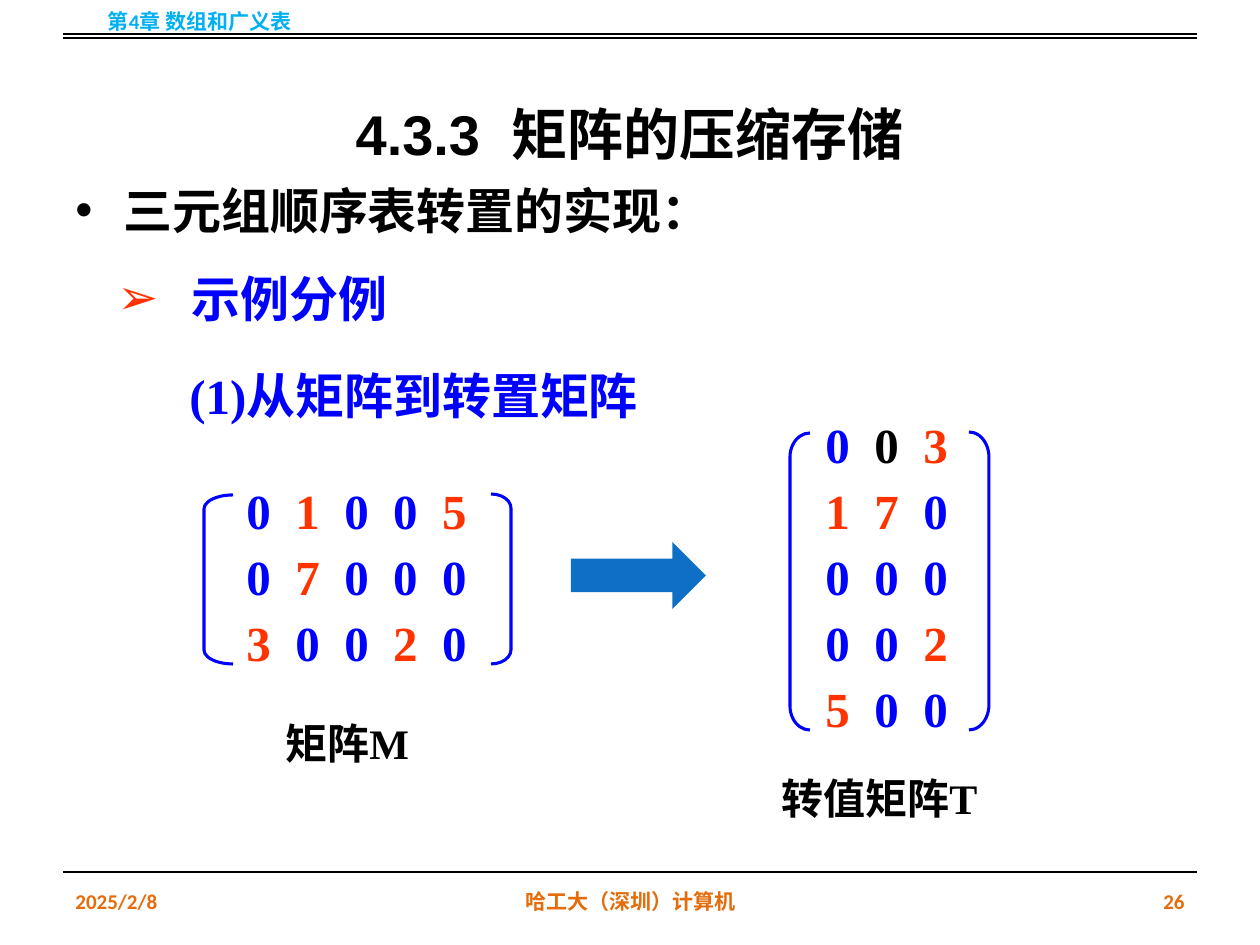
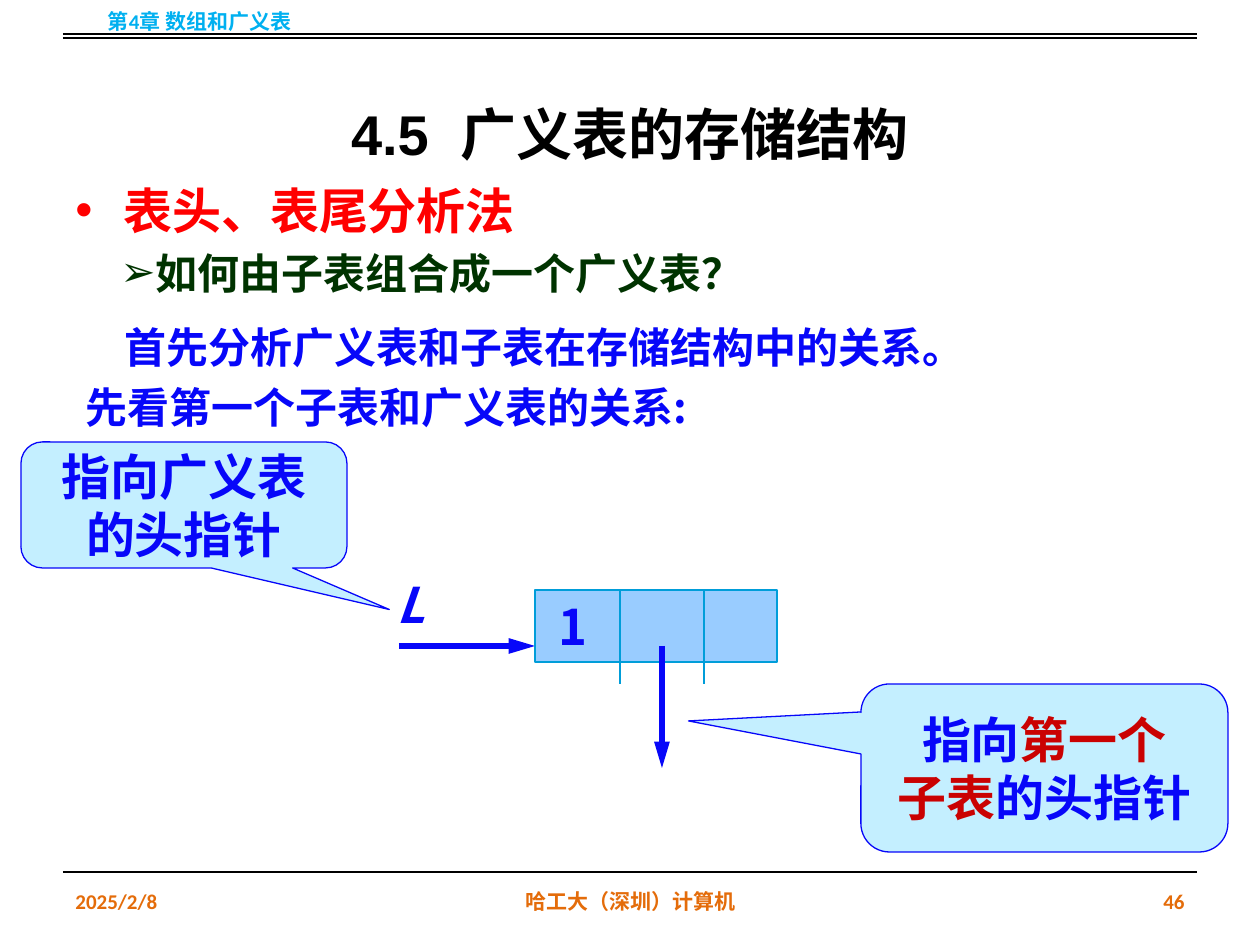
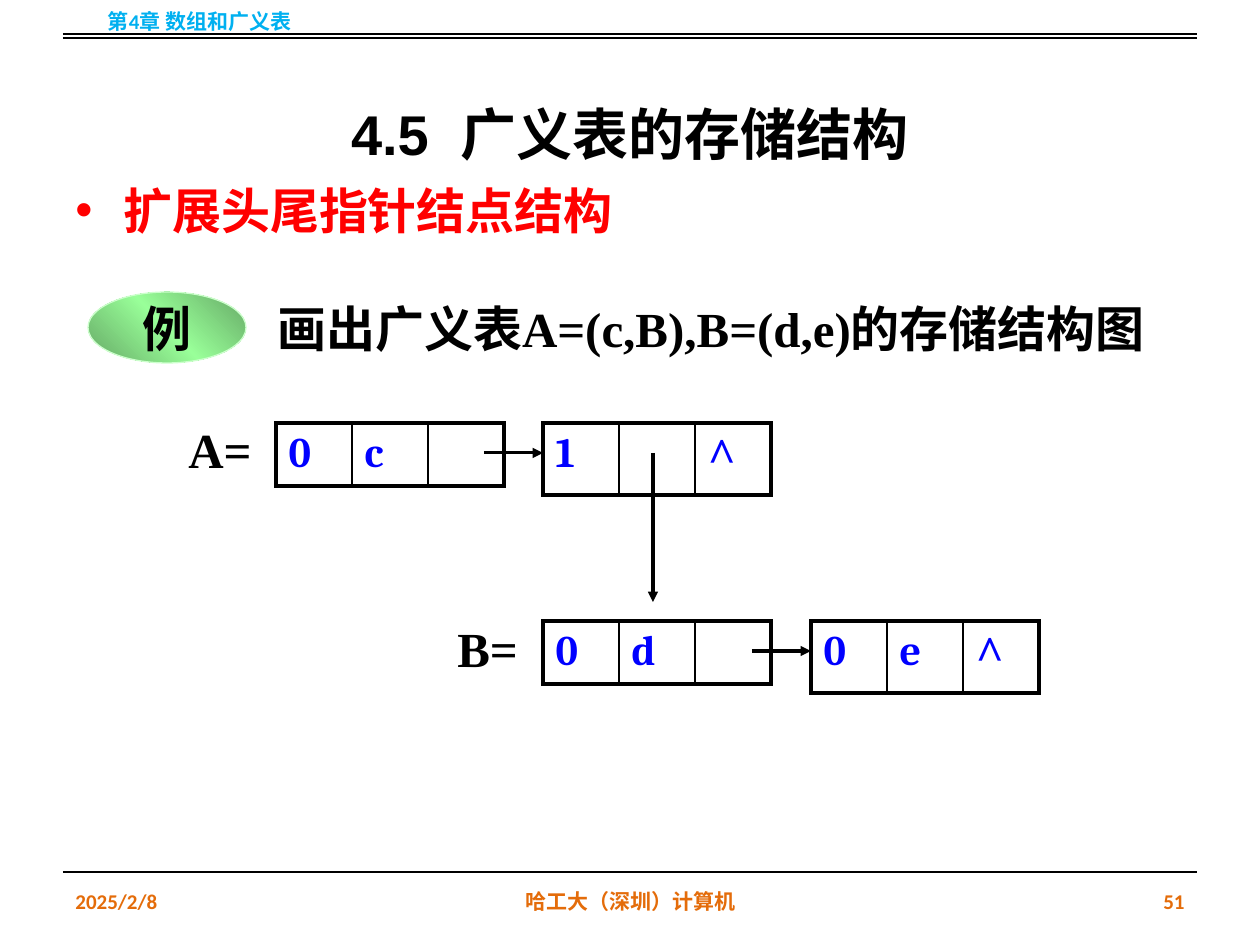
"""Builds three lecture slides on arrays and generalized lists."""
from copy import deepcopy

from lxml import etree
from pptx import Presentation
from pptx.dml.color import RGBColor
from pptx.enum.shapes import MSO_CONNECTOR, MSO_SHAPE
from pptx.enum.text import MSO_ANCHOR, PP_ALIGN
from pptx.oxml.ns import qn
from pptx.util import Pt

PX = 7257
LEFT, MID, RIGHT = PP_ALIGN.LEFT, PP_ALIGN.CENTER, PP_ALIGN.RIGHT
TOP, HALF = MSO_ANCHOR.TOP, MSO_ANCHOR.MIDDLE
RECT, OVAL = MSO_SHAPE.RECTANGLE, MSO_SHAPE.OVAL
OPEN, CLOSE = MSO_SHAPE.LEFT_BRACKET, MSO_SHAPE.RIGHT_BRACKET
ARROW, BUBBLE = MSO_SHAPE.RIGHT_ARROW, MSO_SHAPE.ROUNDED_RECTANGULAR_CALLOUT
STRAIGHT = MSO_CONNECTOR.STRAIGHT

BLACK = RGBColor(0x00, 0x00, 0x00)
BLUE = RGBColor(0x00, 0x00, 0xFF)
INK = RGBColor(0x07, 0x07, 0xF9)
RED = RGBColor(0xFF, 0x00, 0x00)
FLAME = RGBColor(0xFF, 0x33, 0x00)
WINE = RGBColor(0xCA, 0x02, 0x02)
PINE = RGBColor(0x00, 0x33, 0x00)
RUST = RGBColor(0xE4, 0x6C, 0x0A)
CYAN = RGBColor(0x00, 0xB0, 0xF0)
TEAL = RGBColor(0x00, 0x9D, 0xD9)
STEEL = RGBColor(0x0F, 0x6F, 0xC6)
SKY = RGBColor(0x99, 0xCC, 0xFF)
PALE = RGBColor(0xC4, 0xEF, 0xFF)
MOSS = RGBColor(0x65, 0xA8, 0x65)
LIME = RGBColor(0x99, 0xFF, 0x99)
MINT = RGBColor(0xCC, 0xFF, 0xCC)

SERIF, SANS, BODY = "Times New Roman", "Arial", "Calibri"
BOOK, HAN = "Cambria", "Noto Sans CJK SC"


def put(page, box, paras=(), size=28, face=SERIF, kind=None, fill=None,
        edge=None, width=0.75, adjust=(), align=LEFT, anchor=TOP, wrap=True,
        gap=0, lead=None, left=0, first=0, mark=None, tint=None, spread=0):
    """Add a text box or preset shape holding paragraphs of (text, colour) runs."""
    area = [n * PX for n in box]
    if kind is None:
        item = page.shapes.add_textbox(*area)
    else:
        item = page.shapes.add_shape(kind, *area)
        item.shadow.inherit = False
        for i, value in enumerate(adjust):
            item.adjustments[i] = value
        if fill is None:
            item.fill.background()
        else:
            item.fill.solid()
            item.fill.fore_color.rgb = fill
        if edge is None:
            item.line.fill.background()
        else:
            item.line.color.rgb = edge
            item.line.width = Pt(width)
    frame = item.text_frame
    frame.word_wrap = wrap
    frame.vertical_anchor = anchor
    for i, runs in enumerate(paras):
        para = frame.add_paragraph() if i else frame.paragraphs[0]
        para.alignment = align
        if lead:
            para.line_spacing = lead
        if i and gap:
            para.space_before = Pt(gap)
        props = para._p.get_or_add_pPr()
        props.set("marL", str(left * PX))
        props.set("indent", str(first * PX))
        if mark:
            color = etree.SubElement(props, qn("a:buClr"))
            etree.SubElement(color, qn("a:srgbClr")).set("val", str(tint))
            etree.SubElement(props, qn("a:buFont")).set("typeface", SANS)
            etree.SubElement(props, qn("a:buChar")).set("char", mark)
        for text, color in runs:
            run = para.add_run()
            run.text = text
            run.font.size = Pt(size)
            run.font.bold = True
            run.font.name = face
            run.font.color.rgb = color
            props = run._r.get_or_add_rPr()
            etree.SubElement(props, qn("a:ea")).set("typeface", HAN)
            if text == " ":
                props.set("spc", str(spread * 100))
    return item


def link(page, ends, color=BLACK, width=0.75, head=None):
    """Draw a straight line, with an arrowhead of the given length if asked."""
    item = page.shapes.add_connector(STRAIGHT, *[n * PX for n in ends])
    item.line.color.rgb = color
    item.line.width = Pt(width)
    if head:
        tip = etree.SubElement(item.line._get_or_add_ln(), qn("a:tailEnd"))
        tip.set("type", "triangle")
        tip.set("len", head)
    etree.SubElement(item._element.spPr, qn("a:effectLst"))


deck = Presentation()
deck.slide_width, deck.slide_height = 1260 * PX, 945 * PX
pages = []
for part, title, topic, color, number in (
    ("4.3.3", "矩阵的压缩存储", "三元组顺序表转置的实现：", BLACK, "26"),
    ("4.5", "广义表的存储结构", "表头、表尾分析法", RED, "46"),
    ("4.5", "广义表的存储结构", "扩展头尾指针结点结构", RED, "51"),
):
    page = deck.slides.add_slide(deck.slide_layouts[6])
    pages.append(page)
    put(page, (63, 38, 1134, 157),
        [[(part, BLACK), (" ", BLACK), (title, BLACK)]],
        32, SANS, align=MID, anchor=HALF, lead=1.5, spread=9)
    put(page, (63, 179, 1134, 703), [[(topic, color)]], 28, BODY,
        lead=Pt(31), left=48, first=-48, mark="•", tint=color)
    for box, text, shade, align in (
        ((63, 876, 294, 50), "2025/2/8", RUST, LEFT),
        ((431, 876, 399, 50), "哈工大（深圳）计算机", RUST, MID),
        ((903, 876, 294, 50), number, RUST, RIGHT),
        ((0, 0, 399, 43), "第4章 数组和广义表", CYAN, MID),
    ):
        put(page, box, [[(text, shade)]], 12, BODY, align=align, anchor=HALF)
    for y in (34, 38, 872):
        link(page, (63, y, 1197, y))

page = pages[0]
put(page, (105, 262, 348, 72), [[("示例分例", BLUE)]],
    left=74, first=-74, mark="➢", tint=FLAME)
put(page, (177, 353, 564, 77), [[("(1)从矩阵到转置矩阵", BLUE)]], lead=1.1)
for box, rows in (
    ((234, 474, 354, 207), ("01005", "07000", "30020")),
    ((813, 408, 175, 341), ("003", "170", "000", "002", "500")),
):
    grid = []
    for row in rows:
        runs = []
        for digit in row:
            if runs:
                runs.append((" ", BLUE))
            runs.append((digit, BLUE if digit == "0" else FLAME))
        grid.append(runs)
    if len(rows) == 5:
        grid[0][2] = ("0", BLACK)
    put(page, box, grid, gap=4.2, spread=7)
for box, kind, bend in (
    ((491, 494, 20, 170), CLOSE, 0.71),
    ((204, 495, 29, 169), OPEN, 0.48),
    ((969, 432, 20, 298), CLOSE, 1.26),
    ((790, 433, 20, 297), OPEN, 1.2),
):
    put(page, box, kind=kind, edge=BLUE, width=1.75, adjust=(bend,))
put(page, (571, 542, 135, 67), kind=ARROW, fill=STEEL, adjust=(0.5, 0.5))
put(page, (273, 711, 198, 63), [[("矩阵M", BLACK)]], 24)
put(page, (769, 766, 249, 63), [[("转值矩阵T", BLACK)]], 24)

page = pages[1]
put(page, (108, 241, 1120, 63), [[("如何由子表组合成一个广义表？", PINE)]],
    24, HAN, mark="➢", tint=PINE)
put(page, (73, 315, 1120, 63),
    [[("首先分析广义表和子表在存储结构中的关系。", INK)]], 24, HAN, left=39)
put(page, (73, 375, 1120, 63),
    [[("先看第一个子表和广义表的关系:", INK)]], 24, HAN)
link(page, (399, 646, 535, 646), INK, 3, "lg")
put(page, (535, 590, 242, 72), [[("1", INK)]], 28, HAN, RECT, SKY, TEAL, 1.5,
    left=11)
for x in (620, 704):
    link(page, (x, 590, x, 684), TEAL)
link(page, (662, 646, 662, 768), INK, 3, "lg")
label = put(page, (384, 568, 50, 72), [[("L", INK)]], 28, HAN, wrap=False)
label.text_frame.paragraphs[0].runs[0].font.italic = True
for box, adjust, paras in (
    ((21, 442, 326, 126), (0.63, 0.83, 0.17),
     [[("指向广义表", INK)], [("的头指针", INK)]]),
    ((861, 684, 367, 168), (-0.97, -0.28, 0.17),
     [[("指向", INK), ("第一个", WINE)], [("子表", WINE), ("的头指针", INK)]]),
):
    put(page, box, paras, 28, HAN, BUBBLE, PALE, INK, adjust=adjust,
        align=MID, anchor=HALF, wrap=False)

page = pages[2]
oval = put(page, (88, 292, 158, 71), [[("例", BLACK)]], kind=OVAL, fill=LIME,
           edge=MINT, align=MID, anchor=HALF, wrap=False)
oval.fill.gradient()
oval.fill.gradient_angle = 45
stops = oval._element.spPr.find(".//" + qn("a:gsLst"))
stops.append(deepcopy(stops[0]))
for stop, spot, color in zip(oval.fill.gradient_stops, (0, 0.5, 1),
                             (MOSS, LIME, MOSS)):
    stop.position = spot
    stop.color.rgb = color
put(page, (176, 292, 1012, 72),
    [[("画出广义表A=(c,B),B=(d,e)的存储结构图", BLACK)]], left=89)
put(page, (176, 413, 110, 72), [[("A=", BLACK)]])
put(page, (445, 612, 110, 72), [[("B=", BLACK)]])
for x, y, high, cells in (
    (276, 423, 63, ("0", "c", "")),
    (543, 423, 72, ("1", "", "^")),
    (543, 621, 63, ("0", "d", "")),
    (811, 621, 72, ("0", "e", "^")),
):
    table = page.shapes.add_table(1, 3, x * PX, y * PX, 228 * PX,
                                  high * PX).table
    table.first_row = table.horz_banding = False
    for i, text in enumerate(cells):
        cell = table.cell(0, i)
        props = cell._tc.get_or_add_tcPr()
        for side, thick in (("L", i == 0), ("R", i == 2), ("T", True),
                            ("B", True)):
            edge = etree.SubElement(props, qn("a:ln" + side))
            edge.set("w", str(Pt(2.25 if thick else 1)))
            paint = etree.SubElement(edge, qn("a:solidFill"))
            etree.SubElement(paint, qn("a:srgbClr")).set("val", str(BLACK))
        cell.fill.background()
        if text:
            run = cell.text_frame.paragraphs[0].add_run()
            run.text = text
            run.font.size = Pt(28 if text == "^" else 24)
            run.font.name = SERIF if text == "^" else BOOK
            run.font.bold = True
            run.font.color.rgb = BLUE
for ends in ((484, 453, 543, 453), (752, 651, 811, 651), (653, 453, 653, 602)):
    link(page, ends, width=1.75, head="med")

deck.save("out.pptx")
